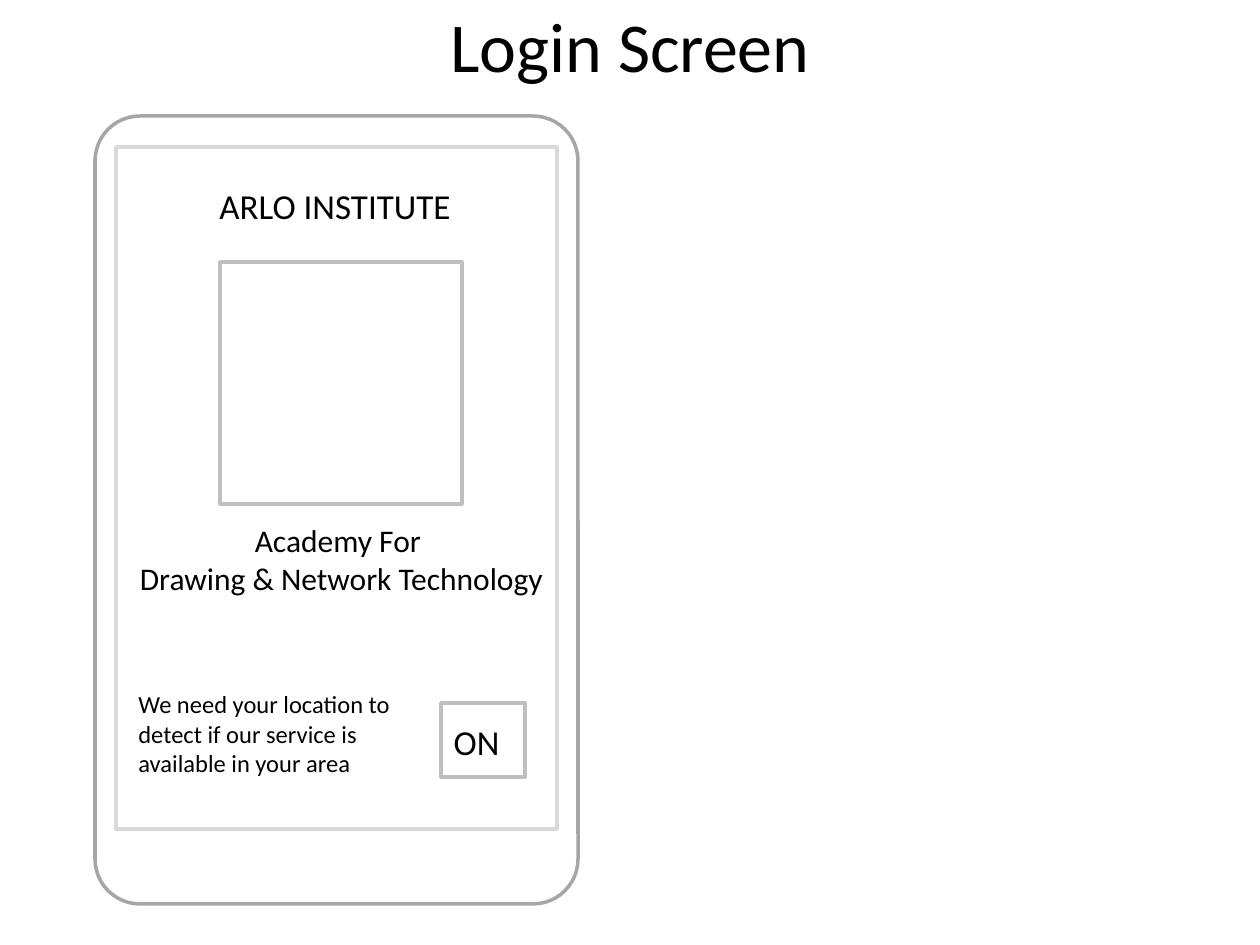
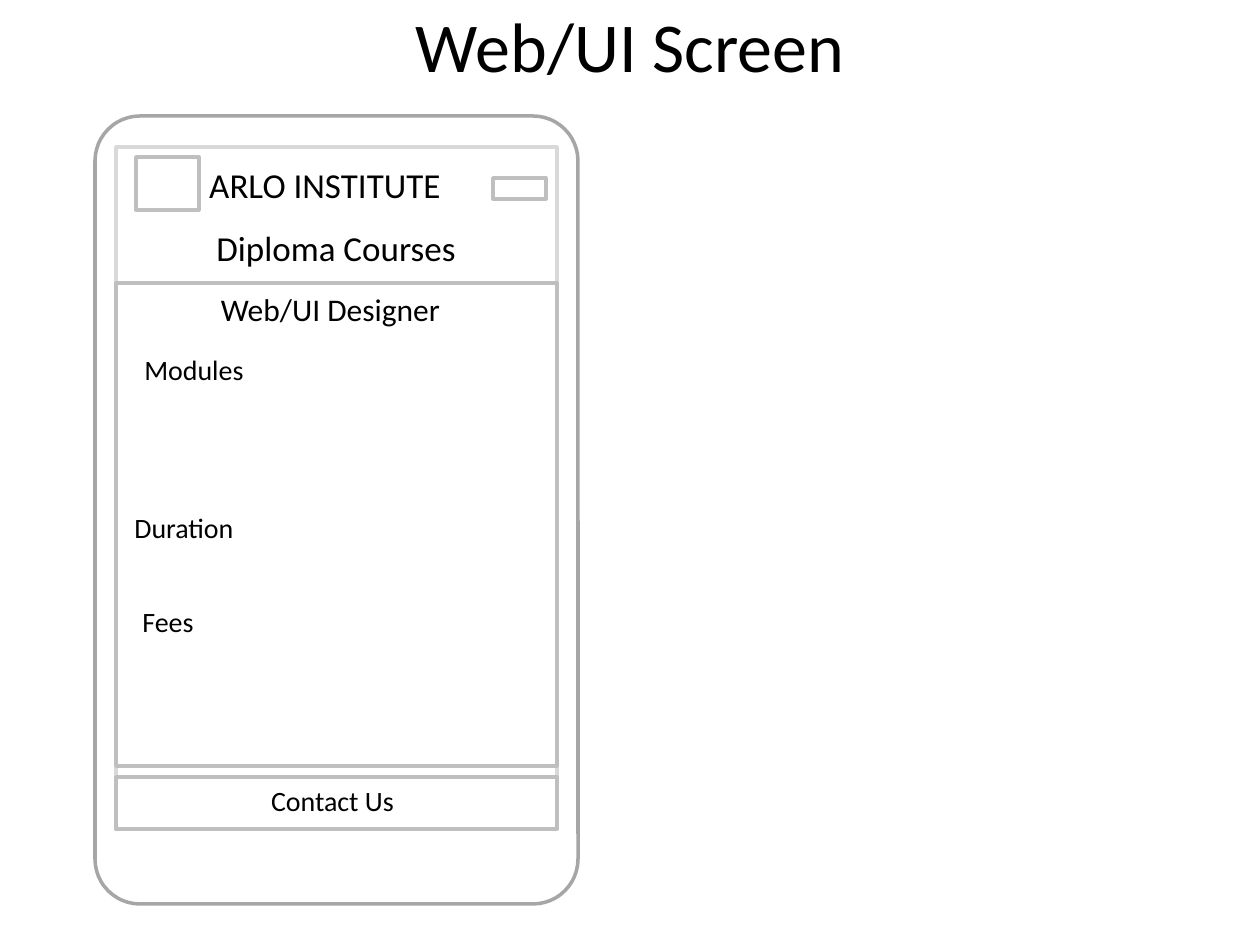
from dataclasses import dataclass

from pptx import Presentation
from pptx.dml.color import RGBColor
from pptx.enum.shapes import MSO_SHAPE as Shape
from pptx.enum.text import MSO_ANCHOR as Anchor, PP_ALIGN as Align
from pptx.util import Emu, Pt


@dataclass(frozen=True)
class Theme:
    font: str = "Calibri"
    text: str = "000000"
    phone: str = "A6A6A6"
    screen: str = "D9D9D9"
    box: str = "BFBFBF"
    line: int = 2
    title: int = 40
    heading: int = 20
    subheading: int = 18
    label: int = 16
    note: int = 14


THEME = Theme()
PX = 914400 / 126
SLIDE_SIZE = (1260, 945)

# Shared frame: left, top, width, height in px
TITLE = (63, 11, 1134, 67)
PHONE = (95, 116, 483, 788)
PHONE_RADIUS = 45
SCREEN = (116, 147, 441, 682)

# Content: boxes are outlines; texts are (lines, size, alignment, place)
INSTITUTE = "ARLO INSTITUTE"
SLIDES = [
    {
        "title": "Login Screen",
        "boxes": [
            (220, 262, 242, 242),   # logo
            (441, 703, 84, 74),     # switch
        ],
        "texts": [
            (["Academy For ", "Drawing & Network Technology"],
             THEME.subheading, Align.CENTER, (116, 515, 451, 88)),
            ([INSTITUTE], THEME.heading, Align.CENTER, (193, 178, 284, 55)),
            (["We need your location to detect if our service is "
              "available in your area"],
             THEME.note, Align.LEFT, (126, 683, 305, 101)),
            (["ON"], THEME.heading, Align.CENTER, (441, 714, 71, 55)),
        ],
    },
    {
        "title": "Web/UI Screen",
        "boxes": [
            (136, 157, 63, 53),     # logo
            (116, 777, 441, 52),    # contact bar
            (493, 178, 53, 21),     # menu
            (116, 283, 441, 483),   # course panel
        ],
        "texts": [
            ([INSTITUTE], THEME.heading, Align.CENTER, (183, 157, 284, 55)),
            (["Contact Us"], THEME.label, Align.CENTER, (231, 777, 203, 47)),
            (["Diploma Courses"], THEME.heading, Align.CENTER, (168, 220, 336, 55)),
            (["Web/UI Designer"], THEME.subheading, Align.CENTER, (168, 284, 325, 50)),
            (["Modules"], THEME.label, Align.CENTER, (126, 346, 136, 47)),
            (["Duration"], THEME.label, Align.CENTER, (116, 504, 136, 47)),
            (["Fees"], THEME.label, Align.CENTER, (126, 598, 84, 47)),
        ],
    },
]


def emu(place):
    return [Emu(round(v * PX)) for v in place]


def write(tf, lines, size, align):
    """Fill a text frame, one paragraph per line."""
    for i, line in enumerate(lines):
        p = tf.add_paragraph() if i else tf.paragraphs[0]
        p.alignment = align
        r = p.add_run()
        r.text = line
        r.font.name = THEME.font
        r.font.size = Pt(size)
        r.font.color.rgb = RGBColor.from_string(THEME.text)


def add_outline(s, place, color, kind=Shape.RECTANGLE):
    sp = s.shapes.add_shape(kind, *emu(place))
    sp.shadow.inherit = False
    sp.fill.background()
    sp.line.color.rgb = RGBColor.from_string(color)
    sp.line.width = Pt(THEME.line)
    return sp


def add_text(s, lines, size, align, place):
    tf = s.shapes.add_textbox(*emu(place)).text_frame
    tf.word_wrap = True
    write(tf, lines, size, align)


def add_title(s, text):
    sp = s.shapes.title
    sp.left, sp.top, sp.width, sp.height = emu(TITLE)
    tf = sp.text_frame
    tf.vertical_anchor = Anchor.MIDDLE
    write(tf, [text], THEME.title, Align.CENTER)


def add_phone(s):
    body = add_outline(s, PHONE, THEME.phone, Shape.ROUNDED_RECTANGLE)
    body.adjustments[0] = PHONE_RADIUS / min(PHONE[2:])
    add_outline(s, SCREEN, THEME.screen)


def main():
    prs = Presentation()
    prs.slide_width, prs.slide_height = emu(SLIDE_SIZE)
    title_only = prs.slide_layouts[5]
    for content in SLIDES:
        s = prs.slides.add_slide(title_only)
        add_title(s, content["title"])
        add_phone(s)
        for place in content["boxes"]:
            add_outline(s, place, THEME.box)
        for text in content["texts"]:
            add_text(s, *text)
    prs.save("out.pptx")


if __name__ == "__main__":
    main()
